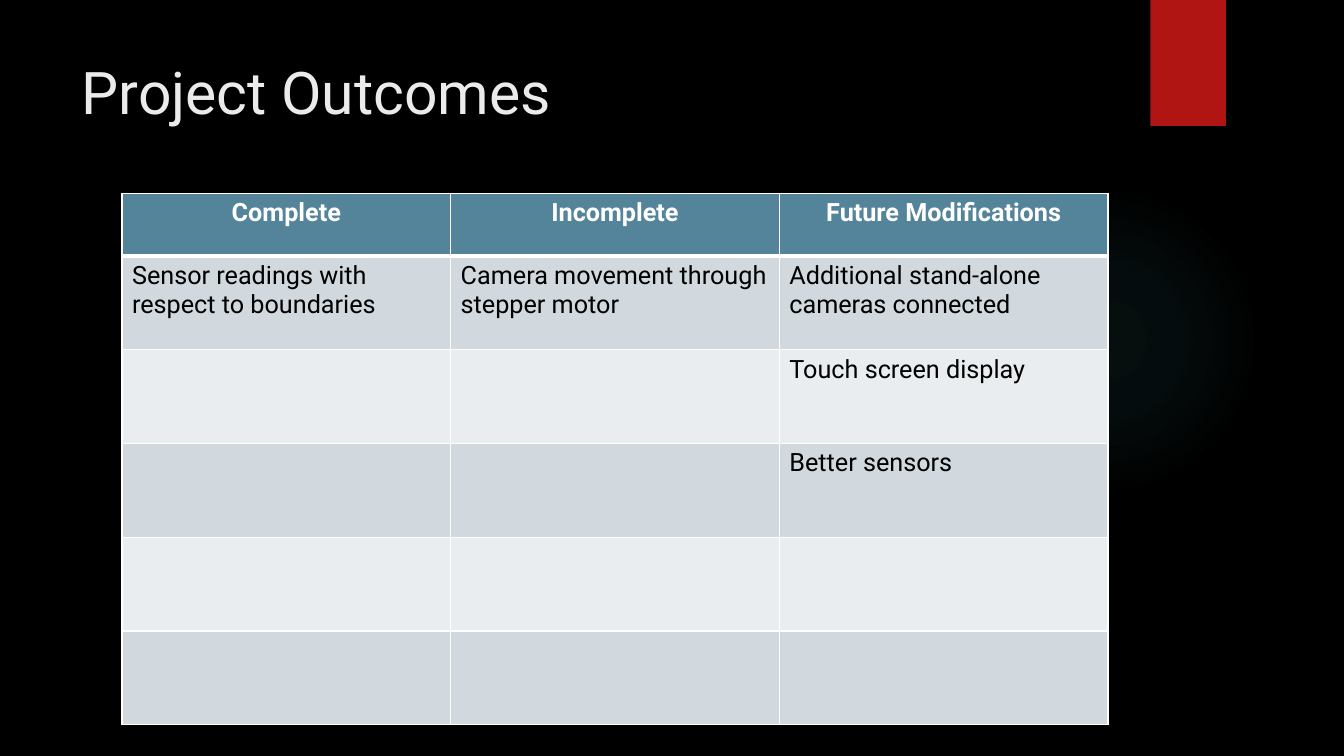
from lxml.etree import SubElement
from pptx import Presentation
from pptx.dml.color import RGBColor
from pptx.enum.shapes import MSO_SHAPE
from pptx.enum.text import MSO_ANCHOR, PP_ALIGN
from pptx.oxml import parse_xml
from pptx.oxml.ns import nsdecls, qn
from pptx.util import Inches, Pt

BLACK = RGBColor(0x00, 0x00, 0x00)
WHITE = RGBColor(0xFF, 0xFF, 0xFF)
TITLE_GREY = RGBColor(0xEB, 0xEB, 0xEB)
RED = RGBColor(0xB0, 0x15, 0x13)
GLOW = RGBColor(0x50, 0xB9, 0xC1)
HEADER_BLUE = RGBColor(0x54, 0x84, 0x9A)
BANDS = [RGBColor(0xD1, 0xD9, 0xDE), RGBColor(0xE9, 0xED, 0xEF)]

FONT = "Roboto"
GLOW_STOPS = [(0, 7), (36, 6), (69, 0)]  # position and opacity, in percent
OUTCOMES = [
    ["Complete", "Incomplete", "Future Modifications"],
    ["Sensor readings with respect to boundaries",
     "Camera movement through stepper motor",
     "Additional stand-alone cameras connected"],
    ["", "", "Touch screen display"],
    ["", "", "Better sensors"],
    ["", "", ""],
    ["", "", ""],
]
COLUMN_WIDTH = 3.26
HEADER_HEIGHT, ROW_HEIGHT = 0.62, 0.93


def format_font(font, color, **values):
    for name, value in {"name": FONT, **values}.items():
        setattr(font, name, value)
    font.color.rgb = color


def add_plain_shape(page, kind, left, top, width, height, color):
    shape = page.shapes.add_shape(
        kind, Inches(left), Inches(top), Inches(width), Inches(height))
    shape.shadow.inherit = False
    shape.fill.solid()
    shape.fill.fore_color.rgb = color
    shape.line.fill.background()
    return shape


def make_glow(shape, color):
    stops = "".join(
        f'<a:gs pos="{position * 1000}"><a:srgbClr val="{color}">'
        f'<a:alpha val="{opacity * 1000}"/></a:srgbClr></a:gs>'
        for position, opacity in GLOW_STOPS)
    gradient = parse_xml(
        f'<a:gradFill {nsdecls("a")} rotWithShape="1"><a:gsLst>{stops}</a:gsLst>'
        '<a:path path="circle"><a:fillToRect l="50000" t="50000" r="50000" b="50000"/>'
        '</a:path></a:gradFill>')
    properties = shape.fill._xPr
    properties.replace(properties.find(qn("a:solidFill")), gradient)


def set_title(page, text):
    title = page.shapes.title
    places = {"left": 0.71, "top": 0.5, "width": 10.29, "height": 1.53}
    for name, value in places.items():
        setattr(title, name, Inches(value))
    frame = title.text_frame
    frame.text = text
    frame.word_wrap = True
    frame.vertical_anchor = MSO_ANCHOR.TOP
    para = frame.paragraphs[0]
    para.alignment = PP_ALIGN.LEFT
    format_font(para.runs[0].font, TITLE_GREY, size=Pt(42))


def set_borders(cell, widths):
    properties = cell._tc.get_or_add_tcPr()
    for index, (side, width) in enumerate(widths.items()):
        line = parse_xml(f'<a:{side} {nsdecls("a")} w="{Pt(width)}"/>')
        fill = SubElement(line, qn("a:solidFill"))
        SubElement(fill, qn("a:srgbClr"), val=str(WHITE))
        properties.insert(index, line)


def fill_cell(cell, text, row):
    header = row == 0
    cell.fill.solid()
    cell.fill.fore_color.rgb = HEADER_BLUE if header else BANDS[(row - 1) % 2]
    set_borders(cell, {"lnL": 1, "lnR": 1, "lnT": 3 if row == 1 else 1,
                       "lnB": 3 if header else 1})
    if text:
        cell.text = text
        para = cell.text_frame.paragraphs[0]
        para.alignment = PP_ALIGN.CENTER if header else PP_ALIGN.LEFT
        format_font(para.runs[0].font, WHITE if header else BLACK,
                    size=Pt(18), bold=header)


def add_outcome_table(page, left, top):
    rows, columns = len(OUTCOMES), len(OUTCOMES[0])
    height = HEADER_HEIGHT + ROW_HEIGHT * (rows - 1)
    table = page.shapes.add_table(
        rows, columns, Inches(left), Inches(top),
        Inches(COLUMN_WIDTH * columns), Inches(height)).table
    for row, texts in enumerate(OUTCOMES):
        table.rows[row].height = Inches(ROW_HEIGHT if row else HEADER_HEIGHT)
        for column, text in enumerate(texts):
            fill_cell(table.cell(row, column), text, row)


def main():
    deck = Presentation()
    deck.slide_width, deck.slide_height = Inches(13.33), Inches(7.5)
    page = deck.slides.add_slide(deck.slide_layouts[5])
    page.background.fill.solid()
    page.background.fill.fore_color.rgb = BLACK

    # Decoration: soft glow and red tab
    glow = add_plain_shape(page, MSO_SHAPE.OVAL, 9.41, 1.83, 3.08, 3.08, GLOW)
    make_glow(glow, GLOW)
    add_plain_shape(page, MSO_SHAPE.RECTANGLE, 11.41, 0, 0.75, 1.25, RED)

    # Content
    set_title(page, "Project Outcomes")
    add_outcome_table(page, 1.21, 1.92)

    deck.save("out.pptx")


if __name__ == "__main__":
    main()
